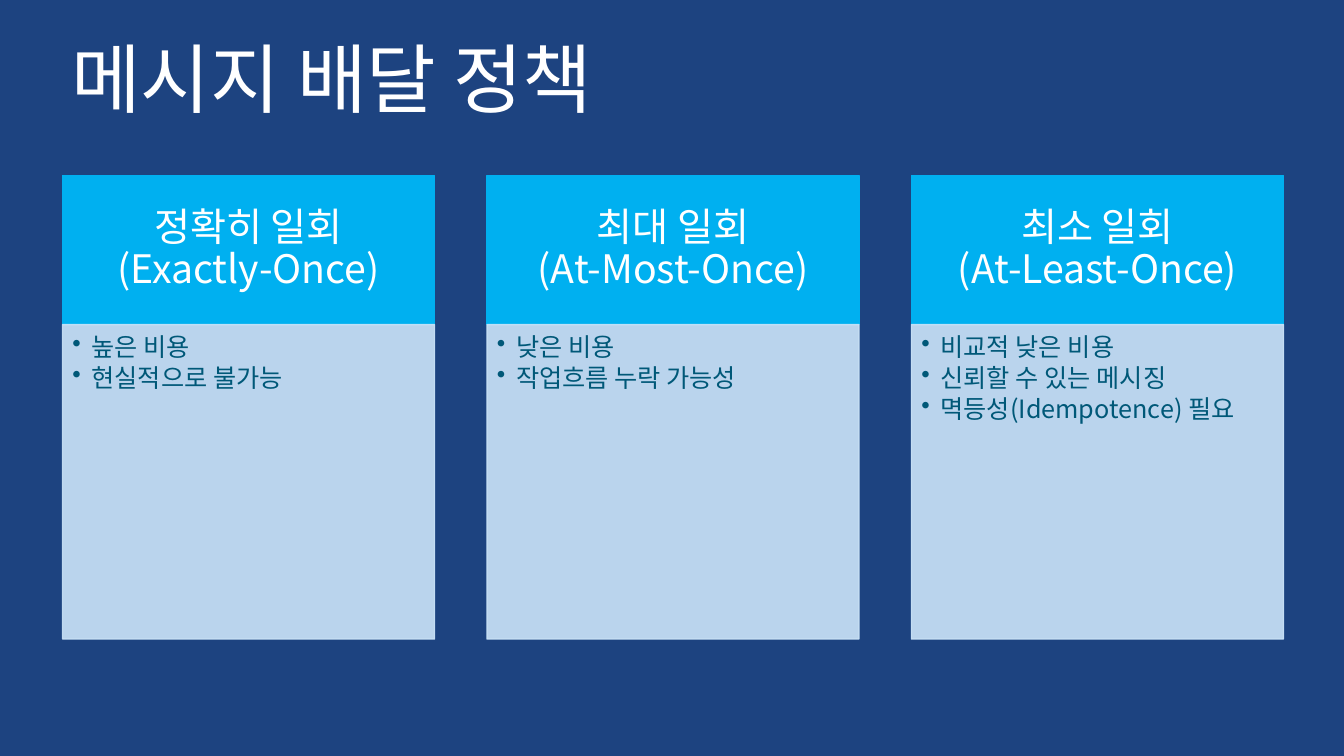
from dataclasses import dataclass

from lxml.etree import SubElement
from pptx import Presentation
from pptx.dml.color import RGBColor
from pptx.enum.shapes import MSO_SHAPE
from pptx.enum.text import MSO_ANCHOR, PP_ALIGN
from pptx.oxml.ns import qn
from pptx.util import Pt

EMU_PER_PX = 9144


@dataclass(frozen=True)
class Theme:
    font: str = "Noto Sans CJK KR"
    background: str = "1D4380"
    header: str = "00B0F0"
    body: str = "CCE4F9"
    light_text: str = "FFFFFF"
    body_text: str = "005878"
    title_size: int = 54
    header_size: int = 28
    body_size: int = 18
    body_opacity: int = 90


@dataclass(frozen=True)
class Box:
    left: int
    top: int
    width: int
    height: int

    def emu(self):
        return [px(n) for n in (self.left, self.top, self.width, self.height)]


THEME = Theme()
POLICIES = [
    ("정확히 일회\v(Exactly-Once)", ["높은 비용", "현실적으로 불가능"]),
    ("최대 일회\v(At-Most-Once)", ["낮은 비용", "작업흐름 누락 가능성"]),
    (
        "최소 일회\v(At-Least-Once)",
        ["비교적 낮은 비용", "신뢰할 수 있는 메시징", "멱등성(Idempotence) 필요"],
    ),
]


def px(length):
    return length * EMU_PER_PX


def add_bullet(paragraph, indent):
    properties = paragraph._p.get_or_add_pPr()
    properties.set("marL", str(px(indent)))
    properties.set("indent", str(px(-indent)))
    SubElement(properties, qn("a:buChar"), char="•")


def write_text(shape, lines, *, size, color, insets=(10, 5, 10, 5),
               anchor=MSO_ANCHOR.TOP, align=PP_ALIGN.LEFT, after=0, bullet_indent=0):
    frame = shape.text_frame
    frame.word_wrap = True
    frame.vertical_anchor = anchor
    frame.margin_left, frame.margin_top, frame.margin_right, frame.margin_bottom = map(px, insets)
    frame.text = "\n".join(lines)
    for paragraph in frame.paragraphs:
        if bullet_indent:
            add_bullet(paragraph, bullet_indent)
        paragraph.alignment = align
        paragraph.line_spacing = 0.9
        paragraph.space_after = Pt(after)
        for run in paragraph.runs:
            run.font.size = Pt(size)
            run.font.name = THEME.font
            run.font.color.rgb = RGBColor.from_string(color)
            SubElement(run.font._element, qn("a:ea"), typeface=THEME.font)


def add_panel(slide, box, color, opacity=100):
    shape = slide.shapes.add_shape(MSO_SHAPE.RECTANGLE, *box.emu())
    shape.shadow.inherit = False
    shape.line.width = Pt(1)
    for fill in (shape.fill, shape.line.fill):
        fill.solid()
        fill.fore_color.rgb = RGBColor.from_string(color)
    if opacity < 100:
        for color_element in shape._element.spPr.iter(qn("a:srgbClr")):
            SubElement(color_element, qn("a:alpha"), val=str(opacity * 1000))
    return shape


def add_title(slide, box, text):
    title = slide.shapes.add_textbox(*box.emu())
    write_text(title, [text], size=THEME.title_size, color=THEME.light_text)


def add_policy(slide, box, heading, points, header_height=148):
    header_box = Box(box.left, box.top, box.width, header_height)
    body_box = Box(box.left, box.top + header_height, box.width, box.height - header_height)
    header = add_panel(slide, header_box, THEME.header)
    write_text(header, [heading], size=THEME.header_size, color=THEME.light_text,
               insets=(22, 12, 22, 12), anchor=MSO_ANCHOR.MIDDLE, align=PP_ALIGN.CENTER)
    body = add_panel(slide, body_box, THEME.body, THEME.body_opacity)
    write_text(body, points, size=THEME.body_size, color=THEME.body_text,
               insets=(10, 10, 14, 16), after=2.7, bullet_indent=19)


def add_policy_row(slide, box, policies, gap=52):
    width = (box.width - gap * (len(policies) - 1)) // len(policies)
    for index, (heading, points) in enumerate(policies):
        column = Box(box.left + index * (width + gap), box.top, width, box.height)
        add_policy(slide, column, heading, points)


def main():
    presentation = Presentation()
    presentation.slide_width = px(1333)
    presentation.slide_height = px(750)
    slide = presentation.slides.add_slide(presentation.slide_layouts[6])
    slide.background.fill.solid()
    slide.background.fill.fore_color.rgb = RGBColor.from_string(THEME.background)
    add_title(slide, Box(61, 37, 1212, 105), "메시지 배달 정책")
    add_policy_row(slide, Box(62, 174, 1211, 460), POLICIES)
    presentation.save("out.pptx")


if __name__ == "__main__":
    main()
